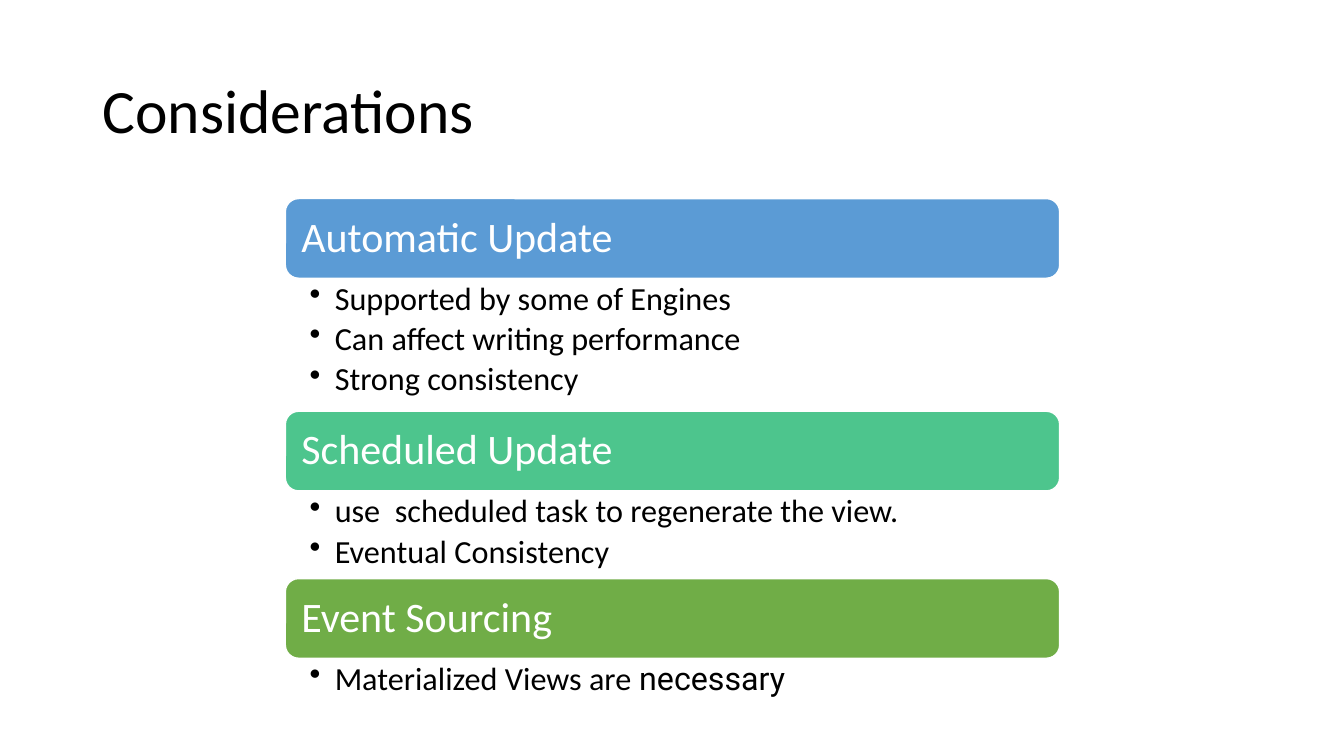
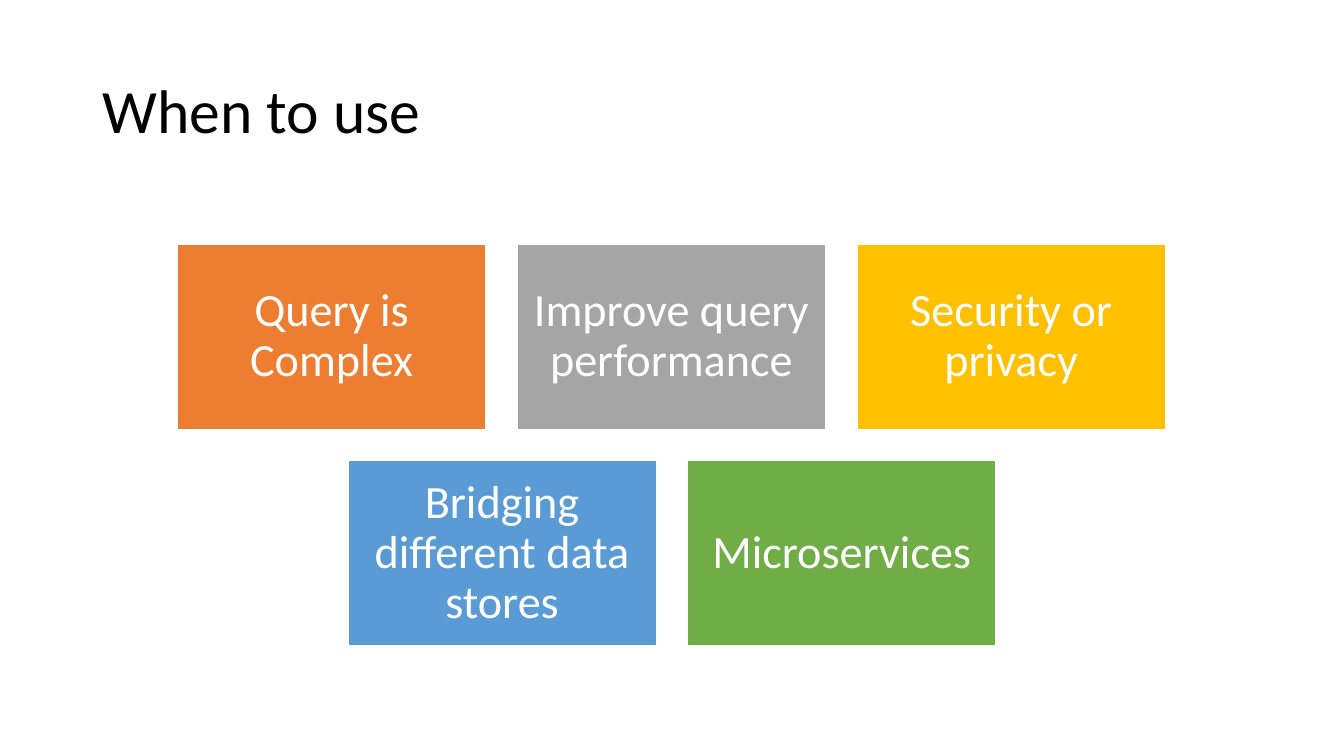
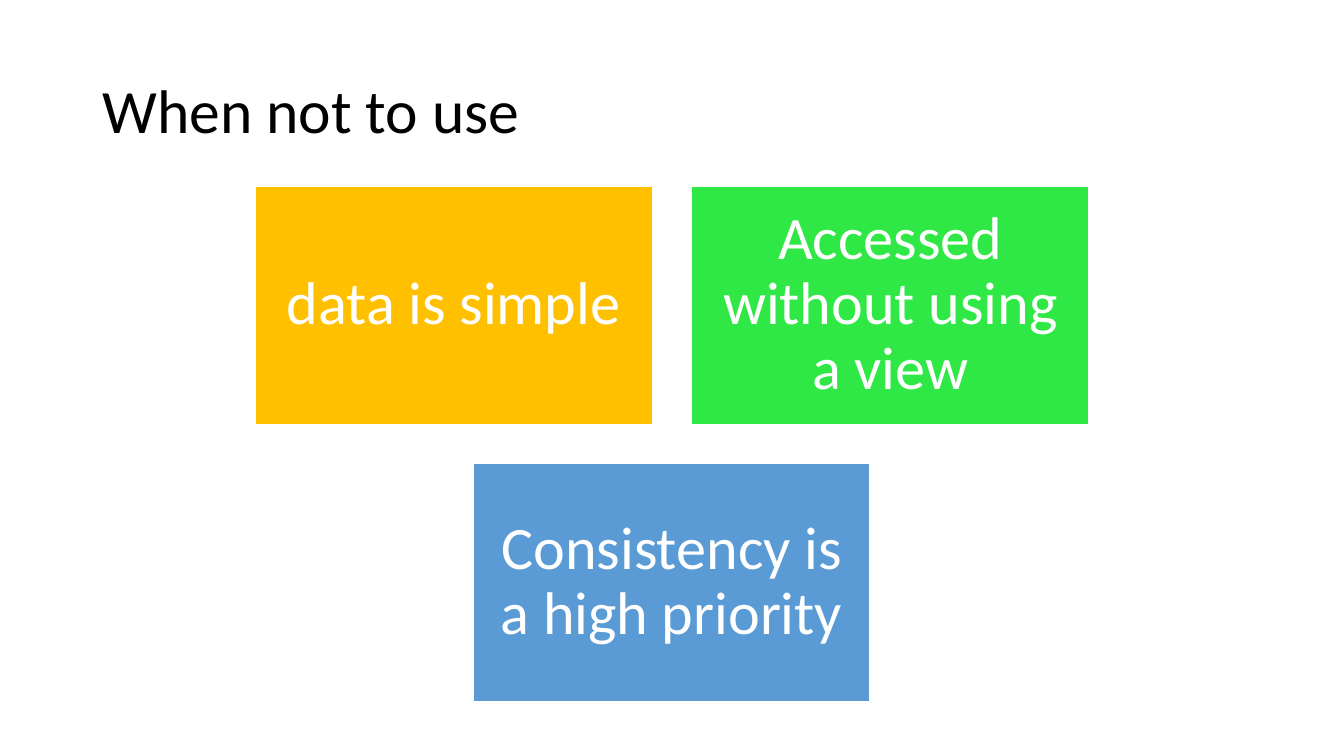
"""Build three slides on when and how to use materialized views."""
from dataclasses import dataclass

import lxml.etree
import pptx
import pptx.dml.color
import pptx.enum.shapes
import pptx.enum.text
import pptx.oxml.ns
import pptx.shapes.autoshape
import pptx.slide
import pptx.text.text
import pptx.util

RGBColor = pptx.dml.color.RGBColor
Shapes = pptx.enum.shapes.MSO_SHAPE
Anchor = pptx.enum.text.MSO_ANCHOR
Align = pptx.enum.text.PP_ALIGN

EMU_PER_PX = 9144
SLIDE_WIDTH, SLIDE_HEIGHT = 1333, 750

BLACK = RGBColor(0x00, 0x00, 0x00)
WHITE = RGBColor(0xFF, 0xFF, 0xFF)
BLUE = RGBColor(0x5B, 0x9B, 0xD5)
TEAL = RGBColor(0x4D, 0xC5, 0x8D)
GREEN = RGBColor(0x70, 0xAD, 0x47)
LIME = RGBColor(0x30, 0xE8, 0x45)
ORANGE = RGBColor(0xED, 0x7D, 0x31)
GRAY = RGBColor(0xA5, 0xA5, 0xA5)
GOLD = RGBColor(0xFF, 0xC0, 0x00)

BODY_FONT = "Calibri"
ACCENT_FONT = "Roboto"
LINE_SPACING = 0.9

SECTION_LEFT, SECTION_TOP, SECTION_WIDTH = 283, 197, 768
HEADING_HEIGHT = 79
BULLET_INDENT = 25


@dataclass(frozen=True)
class Phrase:
    text: str
    font: str = BODY_FONT


@dataclass(frozen=True)
class Section:
    heading: str
    color: RGBColor
    bullets_height: int
    bullets: tuple[tuple[Phrase, ...], ...]


@dataclass(frozen=True)
class Tile:
    label: str
    color: RGBColor


@dataclass(frozen=True)
class TileGrid:
    title: str
    top: int
    tile_width: int
    inset: int
    size: int
    rows: tuple[tuple[Tile, ...], ...]


SECTIONS = (
    Section("Automatic Update", BLUE, 132, (
        (Phrase("Supported by some of Engines"),),
        (Phrase("Can affect writing performance"),),
        (Phrase("Strong consistency"),),
    )),
    Section("Scheduled Update", TEAL, 87, (
        (Phrase("use  scheduled task to regenerate the view."),),
        (Phrase("Eventual Consistency"),),
    )),
    Section("Event Sourcing", GREEN, 54, (
        (Phrase("Materialized Views are "), Phrase("necessary", ACCENT_FONT)),
    )),
)

TILE_GRIDS = (
    TileGrid("When to use", 242, 306, 14, 33, (
        (Tile("Query is Complex", ORANGE),
         Tile("Improve query performance", GRAY),
         Tile("Security or privacy", GOLD)),
        (Tile("Bridging different data stores", BLUE),
         Tile("Microservices", GREEN)),
    )),
    TileGrid("When not to use", 185, 394, 18, 43, (
        (Tile("data is simple", GOLD),
         Tile("Accessed without using a view", LIME)),
        (Tile("Consistency is a high priority", BLUE),),
    )),
)


def px(length: int) -> pptx.util.Emu:
    return pptx.util.Emu(length * EMU_PER_PX)


def set_frame(frame: pptx.text.text.TextFrame, anchor: Anchor,
              left: int, top: int, right: int, bottom: int) -> None:
    frame.word_wrap = True
    frame.vertical_anchor = anchor
    frame.margin_left, frame.margin_top = px(left), px(top)
    frame.margin_right, frame.margin_bottom = px(right), px(bottom)


def style_paragraph(paragraph: pptx.text.text._Paragraph, size: int,
                    color: RGBColor, align: Align = Align.LEFT) -> None:
    paragraph.alignment = align
    paragraph.line_spacing = LINE_SPACING
    paragraph.font.name = BODY_FONT
    paragraph.font.size = pptx.util.Pt(size)
    paragraph.font.color.rgb = color


def add_titled_slide(deck: pptx.presentation.Presentation,
                     title: str) -> pptx.slide.Slide:
    slide = deck.slides.add_slide(deck.slide_layouts[6])
    frame = slide.shapes.add_textbox(px(92), px(40), px(1150), px(145)).text_frame
    set_frame(frame, Anchor.MIDDLE, 10, 5, 10, 5)
    frame.text = title
    style_paragraph(frame.paragraphs[0], 44, BLACK)
    return slide


def add_panel(slide: pptx.slide.Slide, outline: Shapes, left: int, top: int,
              width: int, height: int, color: RGBColor, label: str,
              inset: int, size: int, align: Align) -> None:
    panel = slide.shapes.add_shape(outline, px(left), px(top), px(width), px(height))
    panel.shadow.inherit = False
    panel.fill.solid()
    panel.fill.fore_color.rgb = color
    panel.line.color.rgb = WHITE
    panel.line.width = pptx.util.Pt(1)
    set_frame(panel.text_frame, Anchor.MIDDLE, inset, inset, inset, inset)
    panel.text_frame.text = label
    style_paragraph(panel.text_frame.paragraphs[0], size, WHITE, align)


def add_bullet_mark(paragraph: pptx.text.text._Paragraph) -> None:
    properties = paragraph._p.get_or_add_pPr()
    properties.set("marL", str(px(BULLET_INDENT)))
    properties.set("indent", str(-px(BULLET_INDENT)))
    mark = lxml.etree.SubElement(properties, pptx.oxml.ns.qn("a:buChar"))
    mark.set("char", "•")


def add_bullets(slide: pptx.slide.Slide, top: int, section: Section) -> None:
    frame = slide.shapes.add_textbox(px(SECTION_LEFT), px(top), px(SECTION_WIDTH),
                                     px(section.bullets_height)).text_frame
    set_frame(frame, Anchor.TOP, 24, 4, 23, 4)
    for index, phrases in enumerate(section.bullets):
        paragraph = frame.add_paragraph() if index else frame.paragraphs[0]
        add_bullet_mark(paragraph)
        style_paragraph(paragraph, 23, BLACK)
        paragraph.space_after = pptx.util.Pt(4)
        for phrase in phrases:
            run = paragraph.add_run()
            run.text = phrase.text
            if phrase.font != BODY_FONT:
                run.font.name = phrase.font


def add_sections(slide: pptx.slide.Slide, sections: tuple[Section, ...]) -> None:
    top = SECTION_TOP
    for section in sections:
        add_panel(slide, Shapes.ROUNDED_RECTANGLE, SECTION_LEFT, top, SECTION_WIDTH,
                  HEADING_HEIGHT, section.color, section.heading, 12, 30, Align.LEFT)
        top += HEADING_HEIGHT
        add_bullets(slide, top, section)
        top += section.bullets_height


def add_tiles(slide: pptx.slide.Slide, grid: TileGrid) -> None:
    width = grid.tile_width
    height = round(width * 0.6)
    gap = round(width * 0.1)
    for row_index, row in enumerate(grid.rows):
        row_width = len(row) * (width + gap) - gap
        row_left = (SLIDE_WIDTH - row_width) // 2
        top = grid.top + row_index * (height + gap)
        for column, tile in enumerate(row):
            add_panel(slide, Shapes.RECTANGLE, row_left + column * (width + gap), top,
                      width, height, tile.color, tile.label, grid.inset, grid.size,
                      Align.CENTER)


def main() -> None:
    deck = pptx.Presentation()
    deck.slide_width, deck.slide_height = px(SLIDE_WIDTH), px(SLIDE_HEIGHT)
    add_sections(add_titled_slide(deck, "Considerations"), SECTIONS)
    for grid in TILE_GRIDS:
        add_tiles(add_titled_slide(deck, grid.title), grid)
    deck.save("out.pptx")


if __name__ == "__main__":
    main()
